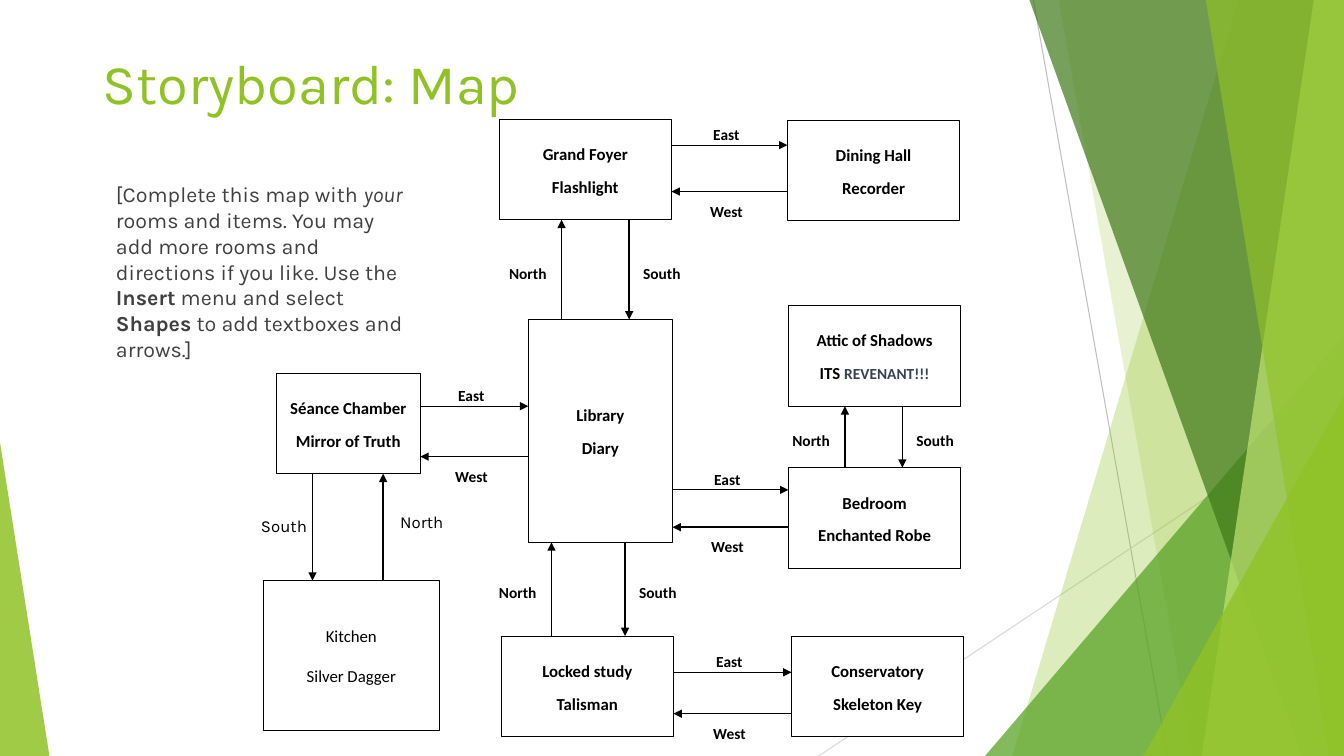
from collections import namedtuple
from dataclasses import dataclass

from lxml.etree import SubElement
from pptx import Presentation
from pptx.dml.color import RGBColor
from pptx.enum.shapes import MSO_CONNECTOR as Connector, MSO_SHAPE as Preset
from pptx.enum.text import MSO_ANCHOR as Anchor, MSO_AUTO_SIZE as Fit, PP_ALIGN as Align
from pptx.oxml.ns import qn
from pptx.util import Inches, Pt

Box = namedtuple("Box", "left top width height")
Room = namedtuple("Room", "name item left top width height")


@dataclass(frozen=True)
class Theme:
    heading_font: str = "Karla"
    map_font: str = "Calibri"
    lime: str = "90C226"
    green: str = "54A021"
    forest: str = "3F7819"
    pale: str = "C0E474"
    grey: str = "BFBFBF"
    light_grey: str = "D9D9D9"
    body: str = "404040"
    slate: str = "374151"
    ink: str = "000000"
    paper: str = "FFFFFF"
    title_size: float = 40
    body_size: float = 15.3
    room_size: float = 12
    label_size: float = 11


THEME = Theme()


def inches(*lengths):
    return [Inches(length) for length in lengths]


def apply(target, **values):
    for attribute, value in values.items():
        setattr(target, attribute, value)


def add_run(paragraph, text, font, size, colour, **style):
    run = paragraph.add_run()
    run.text = text
    apply(run.font, name=font, size=Pt(size), **style)
    run.font.color.rgb = RGBColor.from_string(colour)


def paint(shape, colour, opacity=100, outline=None, weight=0.5):
    shape.shadow.inherit = False
    shape.fill.solid()
    shape.fill.fore_color.rgb = RGBColor.from_string(colour)
    if opacity < 100:
        tint = shape.fill._xPr.find(f"{qn('a:solidFill')}/{qn('a:srgbClr')}")
        SubElement(tint, qn("a:alpha"), val=str(opacity * 1000))
    if outline:
        shape.line.color.rgb = RGBColor.from_string(outline)
        shape.line.width = Pt(weight)
    else:
        shape.line.fill.background()


def add_line(slide, start, end, colour, weight, arrow=False):
    line = slide.shapes.add_connector(Connector.STRAIGHT, *inches(*start, *end))
    line.line.color.rgb = RGBColor.from_string(colour)
    line.line.width = Pt(weight)
    if arrow:
        SubElement(line.line._get_or_add_ln(), qn("a:tailEnd"), type="triangle")
    SubElement(line._element.spPr, qn("a:effectLst"))


def add_facets(slide, box):
    right, bottom = box.left + box.width, box.top + box.height

    def triangle(left, width, height, apex, colour, opacity):
        facet = slide.shapes.add_shape(
            Preset.ISOSCELES_TRIANGLE, *inches(left, bottom - height, width, height))
        facet.adjustments[0] = apex
        paint(facet, colour, opacity)

    def band(upper, lower, colour, opacity):
        corners = [(upper, box.top), (right, box.top), (right, bottom), (lower, bottom)]
        start, *others = [inches(*corner) for corner in corners]
        outline = slide.shapes.build_freeform(*start, scale=1.0)
        outline.add_line_segments(others, close=True)
        paint(outline.convert_to_shape(), colour, opacity)

    add_line(slide, (right - 3.08, box.top), (right - 1.75, bottom), THEME.grey, 0.75)
    add_line(slide, (right, box.top + 4.03), (right - 5.21, bottom), THEME.light_grey, 0.75)
    band(right - 1.05, right - 3.29, THEME.lime, 30)
    band(right - 2.83, right - 1.5, THEME.lime, 20)
    triangle(right - 3.56, 3.56, 4.17, 1, THEME.green, 72)
    band(right - 3.12, right - 0.42, THEME.forest, 70)
    band(right - 0.3, right - 1.41, THEME.pale, 70)
    band(right - 1.37, right - 0.15, THEME.lime, 65)
    triangle(right - 1.99, 1.99, 3.57, 1, THEME.lime, 80)
    triangle(box.left, 0.49, 3.11, 0, THEME.lime, 85)


def place_placeholder(holder, box):
    for side, length in box._asdict().items():
        setattr(holder, side, Inches(length))
    frame = holder.text_frame
    apply(frame, word_wrap=True, auto_size=Fit.NONE, vertical_anchor=Anchor.TOP)
    paragraph = frame.paragraphs[0]
    paragraph.alignment = Align.LEFT
    return paragraph


def add_heading(slide, box):
    heading = place_placeholder(slide.shapes.title, box)
    add_run(heading, "Storyboard: Map", THEME.heading_font, THEME.title_size, THEME.lime)


def add_instructions(slide, box):
    instructions = place_placeholder(slide.placeholders[1], box)
    instructions.space_before = Pt(10)
    properties = instructions._p.get_or_add_pPr()
    apply_indent = {"marL": "0", "indent": "0"}
    for key, value in apply_indent.items():
        properties.set(key, value)
    SubElement(properties, qn("a:buNone"))
    for text, style in (
        ("[Complete this map with ", {}),
        ("your", {"italic": True}),
        (" rooms and items. You may add more rooms and directions if you like. Use the ", {}),
        ("Insert", {"bold": True}),
        (" menu and select ", {}),
        ("Shapes", {"bold": True}),
        (" to add textboxes and arrows.]", {}),
    ):
        add_run(instructions, text, THEME.heading_font, THEME.body_size, THEME.body, **style)


def add_room(slide, room, bold=True, weight=0.5, line_spacing=1.07, gap=8):
    wall = slide.shapes.add_shape(Preset.RECTANGLE, *inches(*room[2:]))
    paint(wall, THEME.paper, outline=THEME.ink, weight=weight)
    frame = wall.text_frame
    apply(frame, word_wrap=True, vertical_anchor=Anchor.MIDDLE)
    for paragraph, runs in zip((frame.paragraphs[0], frame.add_paragraph()),
                               ([(room.name, {})], room.item)):
        apply(paragraph, alignment=Align.CENTER, line_spacing=line_spacing, space_after=Pt(gap))
        for text, style in runs:
            look = {"size": THEME.room_size, "colour": THEME.ink, "bold": bold, **style}
            add_run(paragraph, text, THEME.map_font, **look)


def add_direction(slide, text, left, top, height):
    label = slide.shapes.add_shape(Preset.RECTANGLE, *inches(left, top, 0.61, height))
    paint(label, THEME.paper)
    apply(label.text_frame, word_wrap=True, vertical_anchor=Anchor.TOP)
    paragraph = label.text_frame.paragraphs[0]
    apply(paragraph, alignment=Align.LEFT, line_spacing=1.07, space_after=Pt(8))
    add_run(paragraph, text, THEME.map_font, THEME.label_size, THEME.ink, bold=True)


def passage_ends(direction, origin, target, lane):
    return {
        "East": ((origin.left + origin.width, lane), (target.left, lane)),
        "West": ((origin.left, lane), (target.left + target.width, lane)),
        "North": ((lane, origin.top), (lane, target.top + target.height)),
        "South": ((lane, origin.top + origin.height), (lane, target.top)),
    }[direction]


def add_passage(slide, direction, origin, target, lane):
    start, end = passage_ends(direction, origin, target, lane)
    add_line(slide, start, end, THEME.ink, 0.75 if direction == "East" else 1, arrow=True)
    middle_x, middle_y = ((a + b) / 2 for a, b in zip(start, end))
    left, top, height = {
        "East": (middle_x - 0.26, lane - 0.26, 0.25),
        "West": (middle_x - 0.29, lane + 0.04, 0.25),
        "North": (lane - 0.62, middle_y - 0.12, 0.34),
        "South": (lane + 0.04, middle_y - 0.12, 0.34),
    }[direction]
    add_direction(slide, direction, left, top, height)


def add_kitchen(slide, box, chamber):
    kitchen = Room("Kitchen", [("Silver Dagger", {})], *box)
    add_room(slide, kitchen, bold=False, weight=0.75, line_spacing=1.0, gap=14.6)
    for direction, origin, target, lane, shift, top, width in (
        ("South", chamber, kitchen, 0.49, -0.61, 0.69, 0.75),
        ("North", kitchen, chamber, 1.19, 0.07, 0.73, 0.82),
    ):
        ends = passage_ends(direction, origin, target, box.left + lane)
        add_line(slide, *ends, THEME.ink, 1, arrow=True)
        label = slide.shapes.add_textbox(
            *inches(box.left + lane + shift, box.top - top, width, 0.3))
        label.text_frame.word_wrap = True
        add_run(label.text_frame.paragraphs[0], direction,
                THEME.heading_font, THEME.room_size, THEME.ink)


def add_map(slide, box):
    def room(name, item, left, top, width=1.71, height=1):
        runs = item if isinstance(item, list) else [(item, {})]
        return Room(name, runs, box.left + left, box.top + top, width, height)

    revenant = [("ITS ", {}), ("REVENANT!!!", {"size": THEME.label_size, "colour": THEME.slate})]
    rooms = foyer, dining, attic, bedroom, conservatory, chamber, study, library = (
        room("Grand Foyer", "Flashlight", 2.34, 0.01),
        room("Dining Hall", "Recorder", 5.2, 0.02),
        room("Attic of Shadows", revenant, 5.21, 1.86),
        room("Bedroom", "Enchanted Robe", 5.21, 3.47),
        room("Conservatory", "Skeleton Key", 5.24, 5.14),
        room("Séance Chamber", "Mirror of Truth", 0.13, 2.53, 1.43),
        room("Locked study", "Talisman", 2.36, 5.14),
        room("Library", "Diary", 2.63, 2, 1.43, 2.21),
    )
    for place in rooms:
        add_room(slide, place)
    for origin, target, outward, out_lane, homeward, home_lane in (
        (foyer, dining, "East", 0.27, "West", 0.73),
        (library, bedroom, "East", 3.69, "West", 4.06),
        (study, conservatory, "East", 5.5, "West", 5.91),
        (chamber, library, "East", 2.86, "West", 3.36),
        (library, foyer, "North", 2.96, "South", 3.63),
        (study, library, "North", 2.86, "South", 3.59),
        (bedroom, attic, "North", 5.77, "South", 6.34),
    ):
        edge = box.top if outward == "East" else box.left
        add_passage(slide, outward, origin, target, edge + out_lane)
        add_passage(slide, homeward, target, origin, edge + home_lane)
    add_kitchen(slide, Box(box.left, box.top + 4.59, 1.75, 1.49), chamber)


def main():
    deck = Presentation()
    deck.slide_width, deck.slide_height = inches(13.33, 7.5)
    slide = deck.slides.add_slide(deck.slide_layouts[1])
    add_facets(slide, Box(0, 0, 13.33, 7.5))
    add_heading(slide, Box(0.92, 0.43, 8.7, 1.18))
    add_instructions(slide, Box(1.05, 1.75, 3.07, 1.58))
    add_map(slide, Box(2.61, 1.17, 6.95, 6.2))
    deck.save("out.pptx")


if __name__ == "__main__":
    main()
